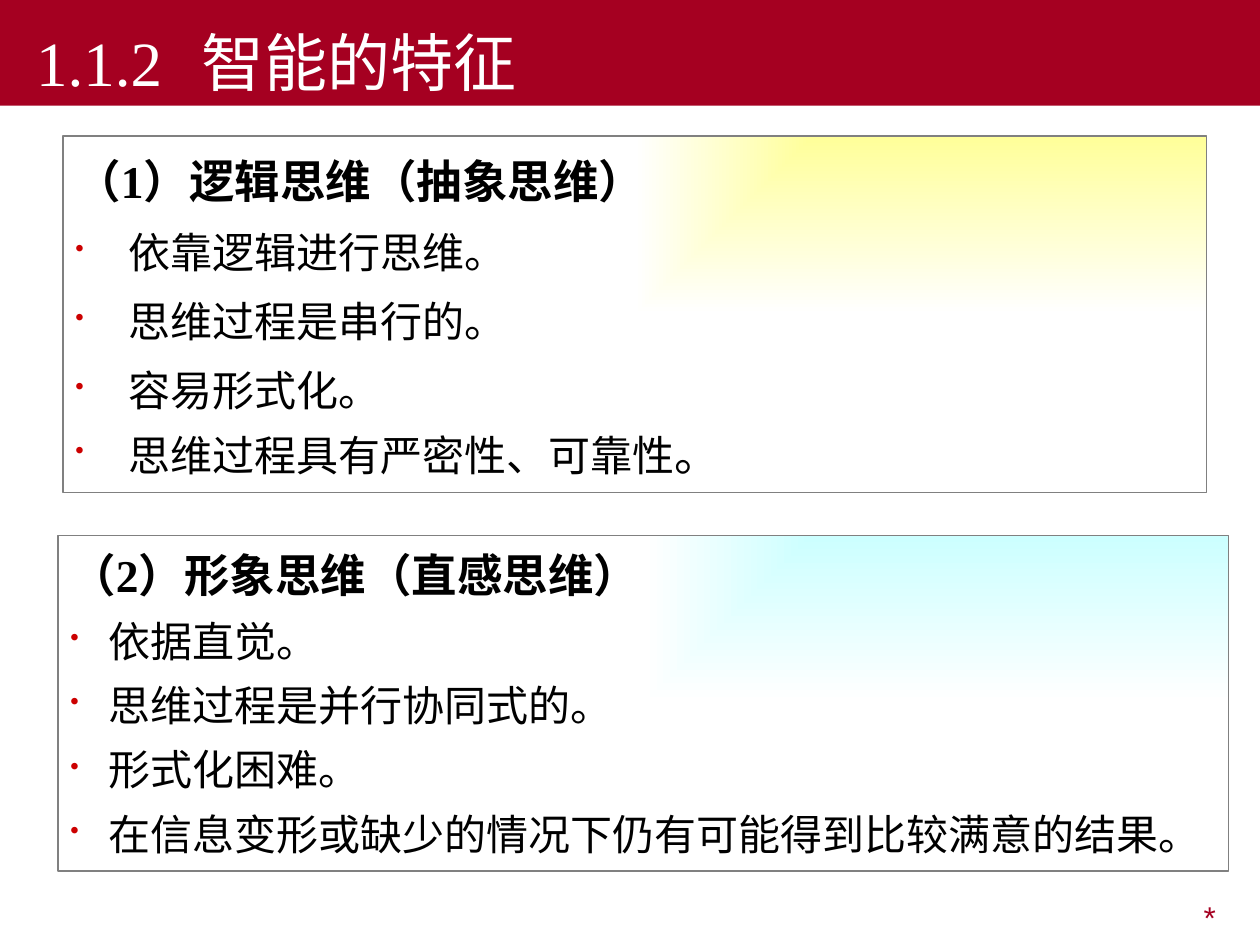
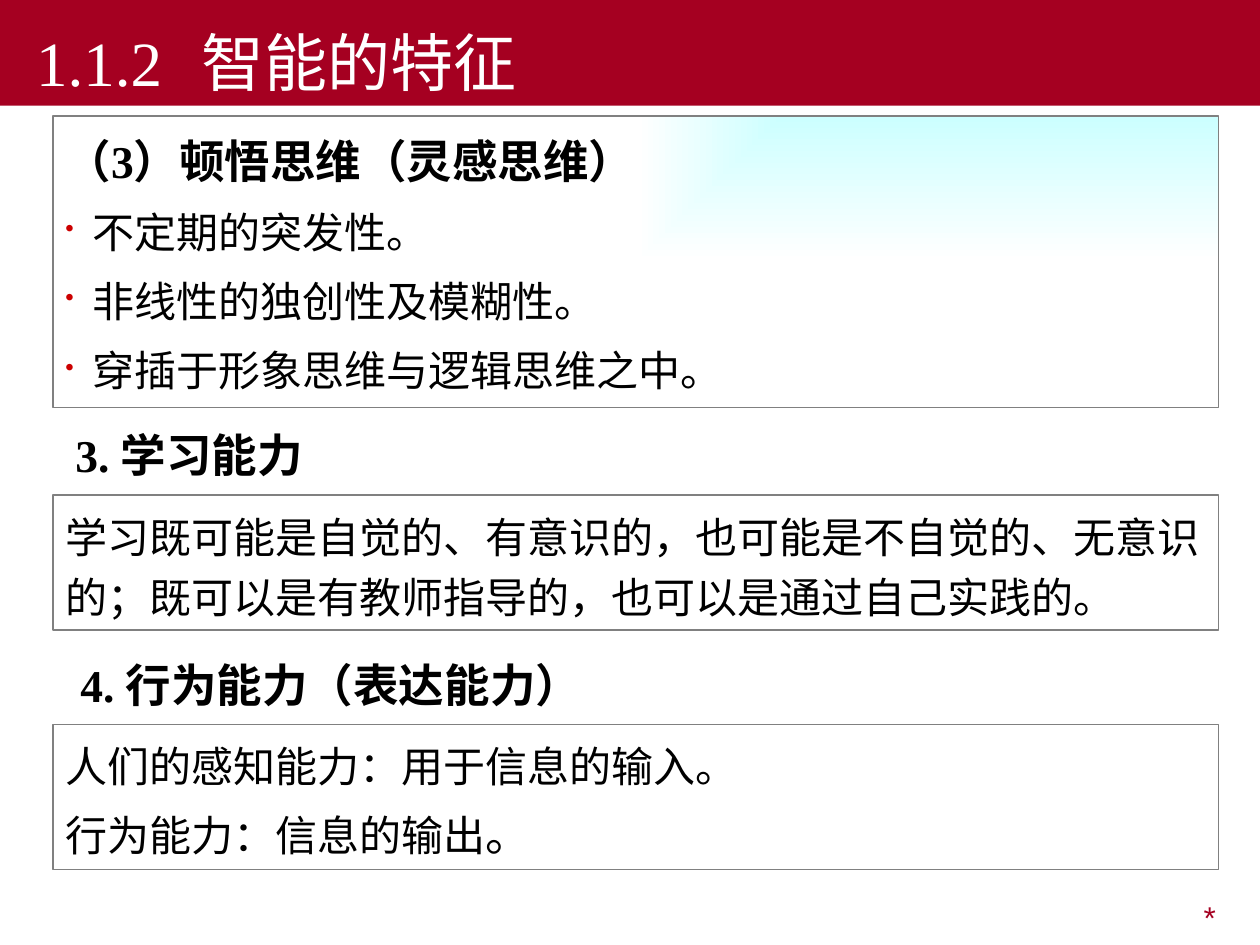
"""Build two slides on the characteristics of intelligence."""
from dataclasses import dataclass
from typing import Optional

from lxml.etree import SubElement
from pptx import Presentation
from pptx.dml.color import RGBColor
from pptx.enum.shapes import MSO_SHAPE
from pptx.enum.text import MSO_ANCHOR, PP_ALIGN
from pptx.oxml.ns import qn
from pptx.slide import Slide
from pptx.util import Cm, Pt

COLORS = {
    "crimson": "A50021",
    "bullet": "CC0000",
    "border": "808080",
    "yellow": "FFFF99",
    "cyan": "CCFFFF",
    "white": "FFFFFF",
    "black": "000000",
}
SERIF = "Times New Roman"
SANS = "Arial"
TITLE = "1.1.2\t智能的特征"
HEADING_SIZE = 26
BODY_SIZE = 24


@dataclass(frozen=True)
class Line:
    """One paragraph and its format."""
    text: str
    size: float = BODY_SIZE
    bold: bool = False
    color: str = "black"
    font: str = SERIF
    before: float = 5
    spacing: float = 1.2
    left: float = 0
    first: float = 0
    bullet: bool = False
    tab: Optional[float] = None
    align: Optional[PP_ALIGN] = None
    large_stop: bool = False


@dataclass(frozen=True)
class Box:
    """A text area in centimetres with optional fill and border."""
    left: float
    top: float
    width: float
    height: float
    lines: list[Line]
    fill: Optional[str] = None
    glow: Optional[str] = None
    border: bool = True
    anchor: MSO_ANCHOR = MSO_ANCHOR.TOP


def rgb(name: str) -> RGBColor:
    """Return the named colour."""
    return RGBColor.from_string(COLORS[name])


def write_text(paragraph, text: str, *, size: float, bold: bool, color: str, font: str) -> None:
    """Add a formatted run to a paragraph."""
    run = paragraph.add_run()
    run.text = text
    run.font.size = Pt(size)
    run.font.bold = bold
    run.font.name = font
    run.font.color.rgb = rgb(color)


def add_bullet(properties) -> None:
    """Give a paragraph a small red bullet."""
    color = SubElement(properties, qn("a:buClr"))
    SubElement(color, qn("a:srgbClr"), val=COLORS["bullet"])
    SubElement(properties, qn("a:buSzPct"), val="60000")
    SubElement(properties, qn("a:buChar"), char="•")


def write_line(paragraph, line: Line) -> None:
    """Format a paragraph and write its text."""
    paragraph.alignment = line.align or PP_ALIGN.LEFT
    paragraph.line_spacing = line.spacing
    paragraph.space_before = Pt(line.before)
    properties = paragraph._p.get_or_add_pPr()
    properties.set("marL", str(Cm(line.left)))
    properties.set("indent", str(Cm(line.first)))
    if line.bullet:
        add_bullet(properties)
    if line.tab is not None:
        tabs = SubElement(properties, qn("a:tabLst"))
        SubElement(tabs, qn("a:tab"), pos=str(Cm(line.tab)), algn="l")
    look = {"bold": line.bold, "color": line.color, "font": line.font}
    write_text(paragraph, line.text, size=line.size, **look)
    if line.large_stop:
        write_text(paragraph, "。", size=HEADING_SIZE, **look)


def fill_with_glow(shape, color: str) -> None:
    """Fade a colour from the top right corner to white."""
    shape.fill.gradient()
    for stop, name in zip(shape.fill.gradient_stops, (color, "white")):
        stop.color.rgb = rgb(name)
    gradient = shape._element.spPr.find(qn("a:gradFill"))
    linear = gradient.find(qn("a:lin"))
    corner = linear.makeelement(qn("a:path"), {"path": "rect"})
    SubElement(corner, qn("a:fillToRect"), l="100000", b="100000")
    gradient.replace(linear, corner)


def add_box(slide: Slide, box: Box) -> None:
    """Draw a box with its paragraphs."""
    bounds = [Cm(value) for value in (box.left, box.top, box.width, box.height)]
    if box.fill or box.glow:
        shape = slide.shapes.add_shape(MSO_SHAPE.RECTANGLE, *bounds)
        shape.shadow.inherit = False
        if box.glow:
            fill_with_glow(shape, box.glow)
        else:
            shape.fill.solid()
            shape.fill.fore_color.rgb = rgb(box.fill)
        if box.border:
            shape.line.color.rgb = rgb("border")
            shape.line.width = Pt(0.75)
        else:
            shape.line.fill.background()
    else:
        shape = slide.shapes.add_textbox(*bounds)
    frame = shape.text_frame
    frame.word_wrap = True
    frame.vertical_anchor = box.anchor
    for index, line in enumerate(box.lines):
        paragraph = frame.add_paragraph() if index else frame.paragraphs[0]
        write_line(paragraph, line)


def heading(text: str, before: float = 13, left: float = 0, spacing: float = 1.2) -> Line:
    """Return a bold heading line."""
    return Line(text, HEADING_SIZE, True, before=before, left=left, spacing=spacing)


def bullets(texts: list[str], hanging: float, spacing: float = 1.2) -> list[Line]:
    """Return bulleted lines with a hanging indent."""
    return [Line(text, spacing=spacing, left=hanging, first=-hanging, bullet=True)
            for text in texts]


BAND = Box(0, 0, 25.4, 2.13, [
    Line(TITLE, 36, color="white", before=0, spacing=1, first=0.48, tab=3.9),
], fill="crimson", border=False, anchor=MSO_ANCHOR.BOTTOM)

FOOTER = Box(19.25, 17.98, 5.51, 0.99, [
    Line("*", 18, color="crimson", font=SANS, before=0, spacing=1, align=PP_ALIGN.RIGHT),
])

THINKING = [
    Box(1.27, 2.74, 23.06, 7.19, [
        heading("（1）逻辑思维（抽象思维）", before=10),
        *bullets(["依靠逻辑进行思维。", "思维过程是串行的。", "容易形式化。"], 1.07),
        Line("思维过程具有严密性、可靠性", before=0, left=1.07, first=-1.07,
             bullet=True, large_stop=True),
    ], glow="yellow"),
    Box(1.17, 10.8, 23.6, 6.76, [
        heading("（2）形象思维（直感思维）", spacing=1.1),
        *bullets(["依据直觉。", "思维过程是并行协同式的。", "形式化困难。",
                  "在信息变形或缺少的情况下仍有可能得到比较满意的结果。"], 0.76, 1.1),
    ], glow="cyan"),
]

ABILITIES = [
    Box(1.07, 2.34, 23.5, 5.87, [
        heading("（3）顿悟思维（灵感思维）"),
        *bullets(["不定期的突发性。", "非线性的独创性及模糊性。",
                  "穿插于形象思维与逻辑思维之中。"], 0.55),
    ], glow="cyan"),
    Box(1.27, 8.26, 21.39, 1.68, [heading("3. 学习能力")]),
    Box(1.07, 9.98, 23.5, 2.72, [
        Line("学习既可能是自觉的、有意识的，也可能是不自觉的、无意识的；"
             "既可以是有教师指导的，也可以是通过自己实践的。", before=12),
    ], fill="white"),
    Box(0.84, 12.9, 22.86, 1.7, [heading("4. 行为能力（表达能力）", before=10, left=0.53)]),
    Box(1.07, 14.61, 23.5, 2.92, [
        Line("人们的感知能力：用于信息的输入。", before=2.4),
        Line("行为能力：信息的输出", before=2.4, large_stop=True),
    ], fill="white"),
]


def main() -> None:
    """Build and save the presentation."""
    presentation = Presentation()
    presentation.slide_width = Cm(25.4)
    presentation.slide_height = Cm(19.05)
    for boxes in (THINKING, ABILITIES):
        slide = presentation.slides.add_slide(presentation.slide_layouts[6])
        for box in (FOOTER, BAND, *boxes):
            add_box(slide, box)
    presentation.save("out.pptx")


if __name__ == "__main__":
    main()
